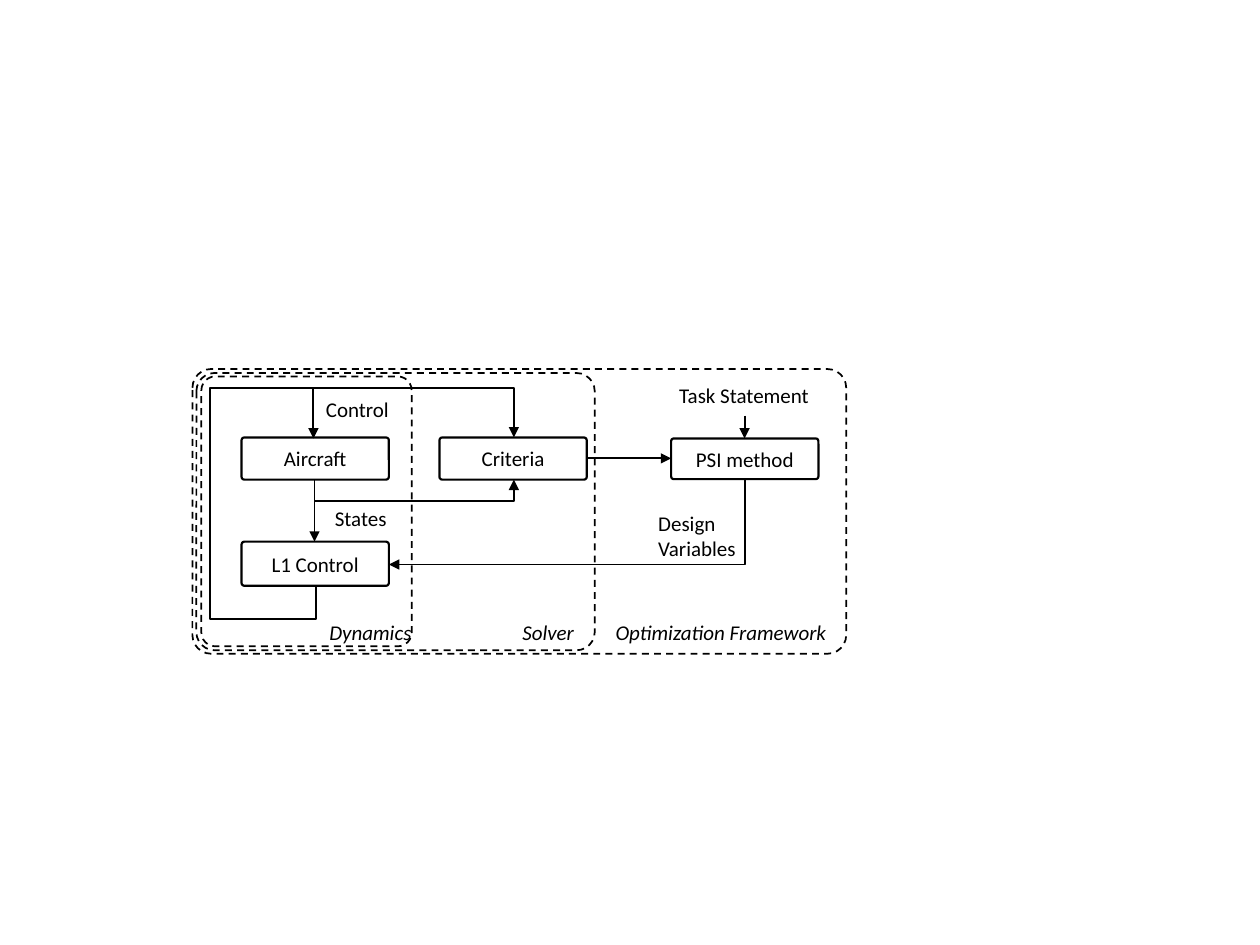
from lxml.etree import SubElement
from pptx import Presentation
from pptx.dml.color import RGBColor
from pptx.enum.dml import MSO_LINE_DASH_STYLE as Dash
from pptx.enum.shapes import MSO_CONNECTOR_TYPE as Link, MSO_SHAPE as Shape
from pptx.enum.text import MSO_ANCHOR as Anchor, PP_ALIGN as Align
from pptx.oxml.ns import qn
from pptx.util import Cm, Pt

COLOURS = {"ink": "000000", "paper": "FFFFFF"}
FONT = {"name": "Calibri", "size": Pt(12)}
BOX_WIDTH = 2.97
CAPTION_TOP = 4.93


def colour(name):
    return RGBColor.from_string(COLOURS[name])


def place(origin, x, y):
    return Cm(origin[0] + x), Cm(origin[1] + y)


def write(frame, text, align, italic=False):
    frame.word_wrap = True
    para = frame.paragraphs[0]
    para.alignment = align
    span = para.add_run()
    span.text = text
    for key, value in {**FONT, "italic": italic}.items():
        setattr(span.font, key, value)
    span.font.color.rgb = colour("ink")


def add_round(page, origin, x, y, width, height, weight):
    box = page.shapes.add_shape(Shape.ROUNDED_RECTANGLE, *place(origin, x, y),
                                Cm(width), Cm(height))
    box.adjustments[0] = 0.066
    box.shadow.inherit = False
    box.line.color.rgb = colour("ink")
    box.line.width = Pt(weight)
    return box


def add_block(page, origin, text, x, y, height=0.85):
    box = add_round(page, origin, x, y, BOX_WIDTH, height, 1.25)
    box.fill.solid()
    box.fill.fore_color.rgb = colour("paper")
    box.text_frame.vertical_anchor = Anchor.MIDDLE
    write(box.text_frame, text, Align.CENTER)


def add_frame(page, origin, x, y, width, height):
    box = add_round(page, origin, x, y, width, height, 1)
    box.fill.background()
    box.line.dash_style = Dash.DASH


def add_label(page, origin, text, x, y, width, height=0.76,
              align=Align.LEFT, italic=False):
    box = page.shapes.add_textbox(*place(origin, x, y), Cm(width), Cm(height))
    write(box.text_frame, text, align, italic)


def add_arrow(page, origin, start, end, preset="line", turned=False, adjusts=()):
    """Turned arrows leave vertically: their frame is rotated a quarter."""
    if turned:
        mid_x, mid_y = (start[0] + end[0]) / 2, (start[1] + end[1]) / 2
        start, end = [(mid_x + y - mid_y, mid_y - x + mid_x)
                      for x, y in (start, end)]
    kind = Link.STRAIGHT if preset == "line" else Link.ELBOW
    arrow = page.shapes.add_connector(kind, *place(origin, *start),
                                      *place(origin, *end))
    arrow.line.color.rgb = colour("ink")
    arrow.line.width = Pt(1.1)
    props = arrow._element.spPr
    if turned:
        props.find(qn("a:xfrm")).set("rot", "5400000")
    shape = props.find(qn("a:prstGeom"))
    shape.set("prst", preset)
    guides = shape.find(qn("a:avLst"))
    for number, value in enumerate(adjusts, 1):
        SubElement(guides, qn("a:gd"), name=f"adj{number}",
                   fmla=f"val {round(value * 100000)}")
    SubElement(props.find(qn("a:ln")), qn("a:tailEnd"), type="triangle")
    SubElement(props, qn("a:effectLst"))


def draw_simulation(page, origin):
    add_block(page, origin, "Aircraft", 0.99, 1.38)
    add_block(page, origin, "L1 Control", 0.99, 3.48, 0.89)
    add_arrow(page, origin, (2.46, 2.23), (2.46, 3.48))

    # Feedback loop around the left side
    start, end = (2.49, 4.39), (2.44, 1.4)
    left, top, bottom = 0.36, 0.38, 5.03
    rise = start[1] - end[1]
    adjusts = ((start[1] - bottom) / rise,
               (start[0] - left) / (start[0] - end[0]),
               (start[1] - top) / rise)
    add_arrow(page, origin, start, end, "bentConnector5", True, adjusts)

    add_label(page, origin, "Control", 2.44, 0.43, 2.34)
    add_label(page, origin, "States", 2.62, 2.62, 2.01)
    add_frame(page, origin, 0.18, 0.15, 4.24, 5.44)
    add_label(page, origin, "Dynamics", 2.51, CAPTION_TOP, 2.57, italic=True)


def draw_criteria(page, origin):
    add_block(page, origin, "Criteria", 4.98, 1.38)
    add_arrow(page, origin, (2.46, 2.67), (6.48, 2.23), "bentConnector2")
    add_arrow(page, origin, (1.07, 0.38), (6.48, 1.38), "bentConnector2")
    add_frame(page, origin, 0.08, 0.08, 8.03, 5.59)
    add_label(page, origin, "Solver", 6.4, CAPTION_TOP, 2.57, italic=True)


def draw_optimization(page, origin):
    add_block(page, origin, "PSI method", 9.65, 1.4, 0.82)
    add_arrow(page, origin, (11.13, 2.22), (3.96, 3.94), "bentConnector2", True)
    add_arrow(page, origin, (7.95, 1.8), (9.65, 1.8))
    add_arrow(page, origin, (11.13, 0.94), (11.13, 1.4))
    add_label(page, origin, "Task Statement", 9.09, 0.15, 4.06,
              align=Align.CENTER)
    add_label(page, origin, "Design Variables", 9.14, 2.72, 2.92, 1.27)
    add_frame(page, origin, 0, 0, 13.18, 5.74)
    add_label(page, origin, "Optimization Framework", 8.28, CAPTION_TOP, 4.93,
              italic=True)


deck = Presentation()
deck.slide_width, deck.slide_height = Cm(25.4), Cm(19.05)
page = deck.slides.add_slide(deck.slide_layouts[6])
diagram_origin = (3.88, 7.44)
for draw in (draw_simulation, draw_criteria, draw_optimization):
    draw(page, diagram_origin)
deck.save("out.pptx")
